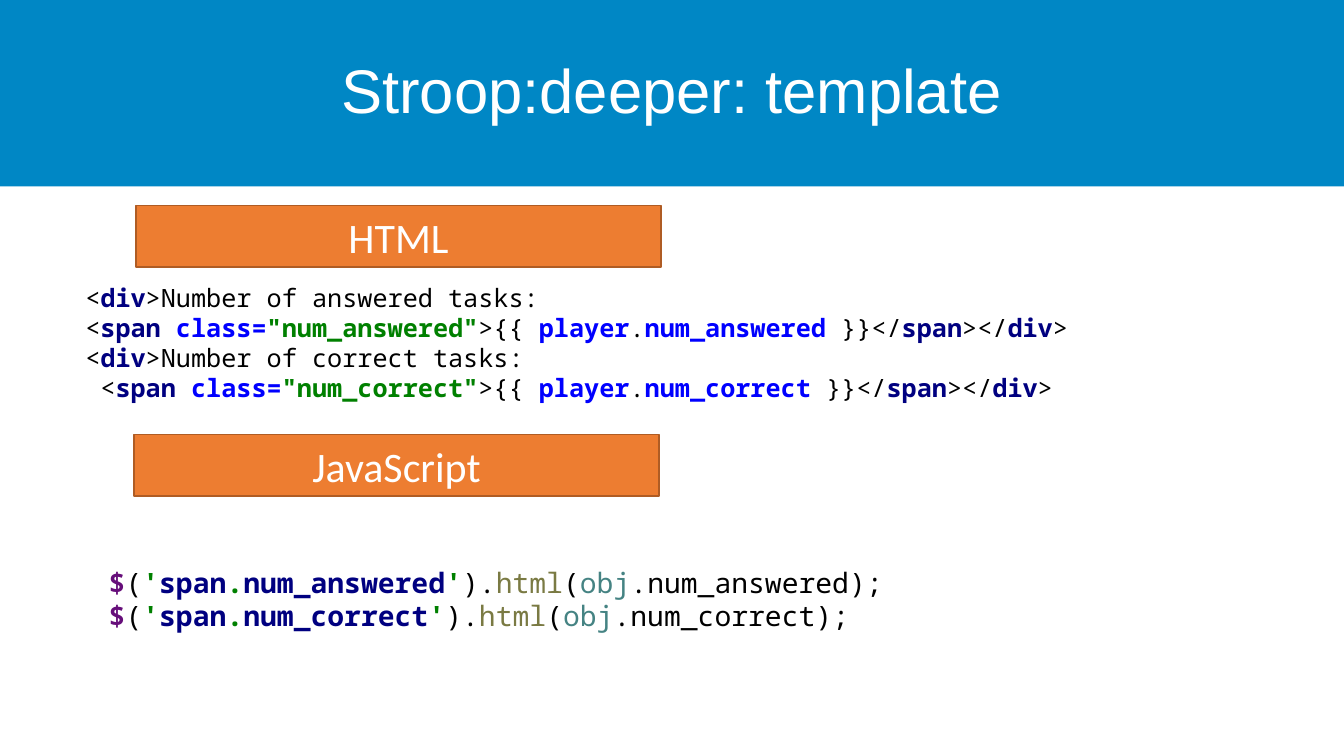
from dataclasses import dataclass

from pptx import Presentation
from pptx import util as u
from pptx.dml.color import RGBColor
from pptx.enum import shapes, text

COLOURS = {
    "banner": "0087C5", "label": "ED7D31", "label_edge": "AF5C24",
    "white": "FFFFFF", "plain": "000000", "tag": "000080",
    "attribute": "0000FF", "string": "008000", "dollar": "660E7A",
    "method": "7A7A43", "object": "458383",
}
BOLD_TOKENS = {"tag", "attribute", "string", "dollar"}
CODE_FONT = "Noto Sans Mono"

Token = tuple[str, str]  # text, colour name
Line = list[Token]


@dataclass
class Label:
    caption: str
    left: float
    top: float


@dataclass
class CodeBlock:
    left: float
    top: float
    width: float
    height: float
    size: int
    lines: list[Line]


def colour(name: str) -> RGBColor:
    return RGBColor.from_string(COLOURS[name])


def add_run(paragraph, content: str, font: str, size: int, colour_name: str,
            bold: bool = False) -> None:
    run = paragraph.add_run()
    run.text = content
    run.font.name = font
    run.font.size = u.Pt(size)
    run.font.bold = bold
    run.font.color.rgb = colour(colour_name)


def html_lines(caption: str, field: str, indent: str = "") -> list[Line]:
    return [
        [("<", "plain"), ("div", "tag"), (f">{caption}", "plain")],
        [(f"{indent}<", "plain"), ("span ", "tag"), ("class=", "attribute"),
         (f'"{field}"', "string"), (">{{ ", "plain"), ("player", "attribute"),
         (".", "plain"), (f"{field} ", "attribute"), ("}}</", "plain"),
         ("span", "tag"), ("></", "plain"), ("div", "tag"), (">", "plain")],
    ]


def script_line(field: str) -> Line:
    return [("$", "dollar"), ("(", "plain"), ("'", "string"), ("span", "tag"),
            (".", "string"), (field, "tag"), ("'", "string"), (").", "plain"),
            ("html", "method"), ("(", "plain"), ("obj", "object"),
            (f".{field});", "plain")]


def format_title(title, content: str, width: int) -> None:
    title.left, title.top = u.Cm(0), u.Cm(0)
    title.width, title.height = width, u.Cm(4.7)
    title.fill.solid()
    title.fill.fore_color.rgb = colour("banner")
    frame = title.text_frame
    frame.auto_size = text.MSO_AUTO_SIZE.NONE
    frame.vertical_anchor = text.MSO_ANCHOR.MIDDLE
    paragraph = frame.paragraphs[0]
    paragraph.alignment = text.PP_ALIGN.CENTER
    paragraph.line_spacing = 0.9
    add_run(paragraph, content, "Arial", 44, "white")


def add_label(slide, label: Label) -> None:
    shape = slide.shapes.add_shape(
        shapes.MSO_SHAPE.RECTANGLE, u.Cm(label.left), u.Cm(label.top),
        u.Cm(13.23), u.Cm(1.55))
    shape.shadow.inherit = False
    shape.fill.solid()
    shape.fill.fore_color.rgb = colour("label")
    shape.line.color.rgb = colour("label_edge")
    shape.line.width = u.Pt(1)
    frame = shape.text_frame
    frame.word_wrap = True
    frame.vertical_anchor = text.MSO_ANCHOR.MIDDLE
    paragraph = frame.paragraphs[0]
    paragraph.alignment = text.PP_ALIGN.CENTER
    add_run(paragraph, label.caption, "Calibri", 30, "white")


def add_code(slide, block: CodeBlock) -> None:
    shape = slide.shapes.add_textbox(u.Cm(block.left), u.Cm(block.top),
                                     u.Cm(block.width), u.Cm(block.height))
    frame = shape.text_frame
    frame.word_wrap = True
    for index, line in enumerate(block.lines):
        paragraph = frame.add_paragraph() if index else frame.paragraphs[0]
        for content, kind in line:
            add_run(paragraph, content, CODE_FONT, block.size, kind,
                    kind in BOLD_TOKENS)


LABELS = [Label("HTML", 3.43, 5.18), Label("JavaScript", 3.38, 10.95)]
CODE_BLOCKS = [
    CodeBlock(1.9, 6.98, 31.95, 4.11, 18,
              html_lines("Number of answered tasks:", "num_answered")
              + html_lines("Number of correct tasks:", "num_correct", " ")),
    CodeBlock(2.49, 14.12, 24.33, 1.96, 20,
              [script_line("num_answered"), script_line("num_correct")]),
]


def main() -> None:
    presentation = Presentation()
    presentation.slide_width, presentation.slide_height = u.Cm(33.87), u.Cm(19.05)
    slide = presentation.slides.add_slide(presentation.slide_layouts[5])

    # Title banner
    format_title(slide.shapes.title, "Stroop:deeper: template",
                 presentation.slide_width)

    # Code listings, then the language labels above them
    for block in CODE_BLOCKS:
        add_code(slide, block)
    for label in LABELS:
        add_label(slide, label)

    presentation.save("out.pptx")


if __name__ == "__main__":
    main()
